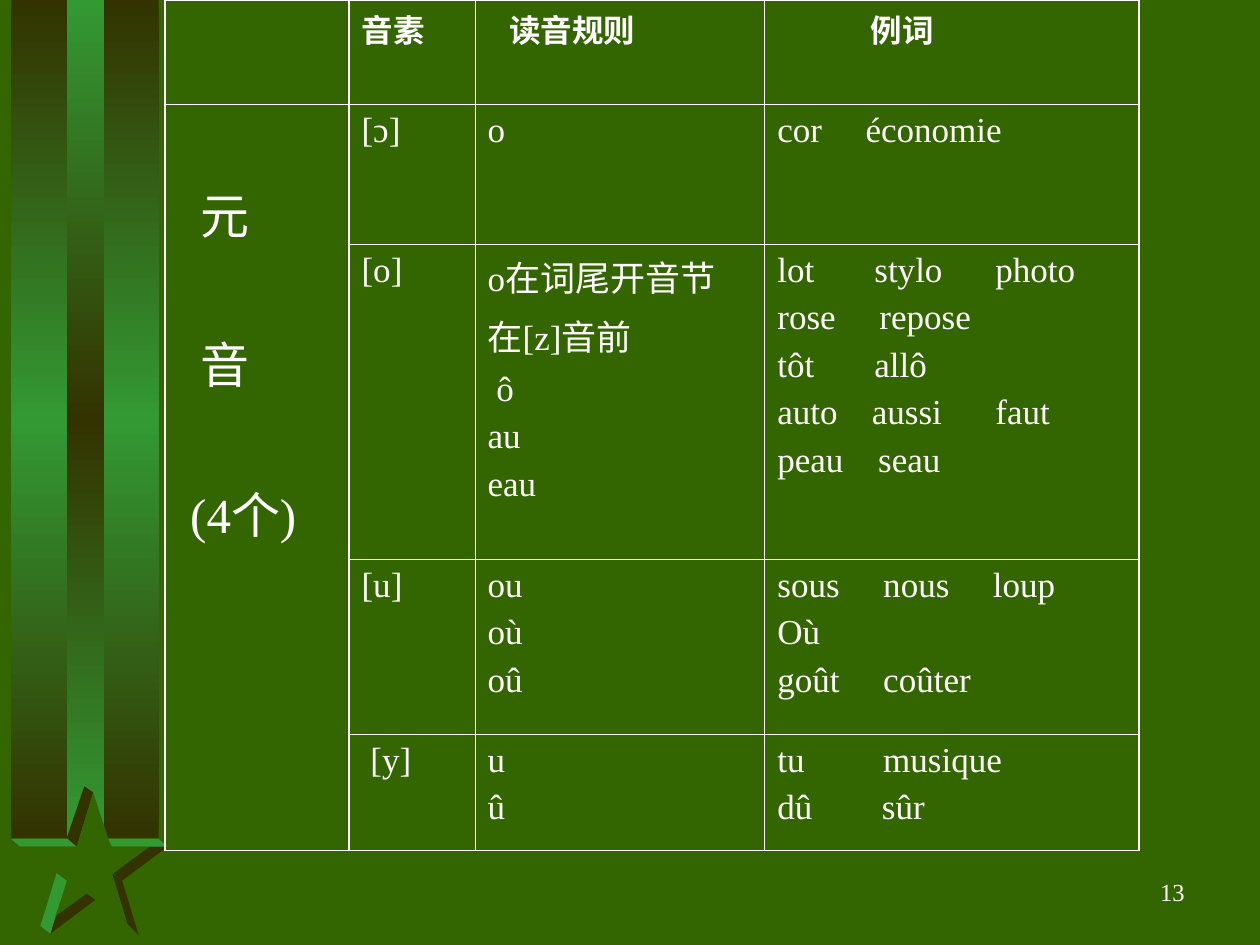
import copy
import pptx
import pptx.util
import pptx.dml.color
import pptx.enum.shapes
import pptx.enum.text
import pptx.oxml.ns
from lxml import etree

GREEN, LIGHT, DARK, WHITE = "336600", "339933", "333300", "FFFFFF"
FONT = "Times New Roman"
Inches, Pt = pptx.util.Inches, pptx.util.Pt
qn = pptx.oxml.ns.qn

bands = [
    ((0.09, 0, 1.17, 6.65), (DARK, LIGHT, DARK)),
    ((0.53, 0, 0.3, 6.65), (LIGHT, DARK, LIGHT)),
]
star_pieces = [
    (DARK, [(0.9, 6.93), (0.97, 6.99), (1.33, 6.72), (1.19, 6.72)]),
    (LIGHT, [(0.09, 6.66), (0.16, 6.72), (0.62, 6.72), (0.54, 6.66)]),
    (DARK, [(0.61, 6.72), (0.74, 6.29), (0.67, 6.24), (0.53, 6.65)]),
    (LIGHT, [(0.89, 6.72), (0.86, 6.66), (1.26, 6.66), (1.33, 6.72)]),
    (DARK, [(0.33, 7.35), (0.4, 7.41), (0.76, 7.14), (0.69, 7.09)]),
    (DARK, [(1.01, 7.33), (1.1, 7.42), (0.97, 6.99), (0.89, 6.93)]),
    (LIGHT, [(0.4, 7.41), (0.53, 6.99), (0.45, 6.93), (0.32, 7.35)]),
    (GREEN, [(0.74, 6.29), (0.61, 6.72), (0.16, 6.72), (0.54, 6.99),
             (0.44, 7.27), (0.69, 7.09), (1.01, 7.33), (0.89, 6.94),
             (1.18, 6.72), (0.88, 6.72)]),
]

column_widths = [1.46, 1.0, 2.3, 2.97]
row_heights = [0.83, 1.11, 2.5, 1.39, 0.92]
header_format = {"size": Pt(18), "bold": True, "name": FONT}
vowel_format = {"size": Pt(28), "bold": False, "name": FONT}
body_format = {"size": Pt(20), "bold": False, "name": FONT}
number_format = {"size": Pt(14), "bold": False, "name": FONT}

phonemes = [
    [[], [("音素", 0, ())], [("读音规则", 0.17, ())], [("例词", 0.74, ())]],
    [[("元", 0.18, ()), ("音", 0.18, ()), ("(4个)", 0.1, ())],
     [("[ɔ]", 0, ())],
     [("o", 0, ())],
     [("cor\téconomie", 0, (0.7,))]],
    [[], [("[o]", 0, ())],
     [("o在词尾开音节", 0, ()), ("在[z]音前", 0, ()), ("ô", 0.07, ()),
      ("au", 0, ()), ("eau", 0, ())],
     [("lot\tstylo\tphoto", 0, (0.77, 1.73)), ("rose\trepose", 0, (0.81,)),
      ("tôt\tallô", 0, (0.77,)), ("auto\taussi\tfaut", 0, (0.75, 1.73)),
      ("peau\tseau", 0, (0.8,))]],
    [[], [("[u]", 0, ())],
     [("ou", 0, ()), ("où", 0, ()), ("oû", 0, ())],
     [("sous\tnous\tloup", 0, (0.84, 1.71)), ("Où", 0, ()),
      ("goût\tcoûter", 0, (0.84,))]],
    [[], [("[y]", 0.07, ())],
     [("u", 0, ()), ("û", 0, ())],
     [("tu\tmusique", 0, (0.84,)), ("dû\tsûr", 0, (0.83,))]],
]


def color(value):
    return pptx.dml.color.RGBColor.from_string(value)


def write_line(paragraph, words, font_format):
    run = paragraph.add_run()
    run.text = words
    for attribute, value in font_format.items():
        setattr(run.font, attribute, value)
    run.font.color.rgb = color(WHITE)


def place_line(paragraph, indent, stops):
    properties = paragraph._p.get_or_add_pPr()
    if indent:
        properties.set("marL", str(Inches(indent)))
        properties.set("indent", "0")
    if stops:
        tab_list = etree.SubElement(properties, qn("a:tabLst"))
        for stop in stops:
            etree.SubElement(tab_list, qn("a:tab"), pos=str(Inches(stop)), algn="l")


def fill_cell(cell, lines, font_format, gap):
    for index, (words, indent, stops) in enumerate(lines):
        frame = cell.text_frame
        paragraph = frame.add_paragraph() if index else frame.paragraphs[0]
        place_line(paragraph, indent, stops)
        if index:
            paragraph.space_before = Pt(gap)
        write_line(paragraph, words, font_format)


def draw_borders(cell, row, column):
    thick = {
        "a:lnL": column <= 1,
        "a:lnR": column in (0, len(column_widths) - 1),
        "a:lnT": row == 0,
        "a:lnB": row == len(row_heights) - 1 or cell.is_merge_origin,
    }
    properties = cell._tc.get_or_add_tcPr()
    for side, is_thick in thick.items():
        width = Pt(1.08 if is_thick else 0.45)
        border = etree.SubElement(properties, qn(side), w=str(width))
        solid = etree.SubElement(border, qn("a:solidFill"))
        etree.SubElement(solid, qn("a:srgbClr"), val=WHITE)


def draw_band(shapes, place, shades):
    band = shapes.add_shape(pptx.enum.shapes.MSO_SHAPE.RECTANGLE, *map(Inches, place))
    band.shadow.inherit = False
    band.line.fill.background()
    band.fill.gradient()
    band.fill.gradient_angle = 270
    stop_list = band._element.spPr.find(".//" + qn("a:gsLst"))
    stop_list.append(copy.deepcopy(stop_list[0]))
    for index, (stop, shade) in enumerate(zip(band.fill.gradient_stops, shades)):
        stop.position = index / 2
        stop.color.rgb = color(shade)


def draw_piece(shapes, shade, corners):
    points = [(Inches(x), Inches(y)) for x, y in corners]
    builder = shapes.build_freeform(*points[0], scale=1.0)
    builder.add_line_segments(points[1:], close=True)
    piece = builder.convert_to_shape()
    piece.shadow.inherit = False
    piece.line.fill.background()
    piece.fill.solid()
    piece.fill.fore_color.rgb = color(shade)


def draw_table(shapes):
    place = (1.31, 0, sum(column_widths), sum(row_heights))
    table = shapes.add_table(len(row_heights), len(column_widths), *map(Inches, place)).table
    table.first_row = table.horz_banding = False
    for column, width in zip(table.columns, column_widths):
        column.width = Inches(width)
    for row, height in zip(table.rows, row_heights):
        row.height = Inches(height)
    table.cell(1, 0).merge(table.cell(len(row_heights) - 1, 0))
    for row, cells in enumerate(phonemes):
        for column, lines in enumerate(cells):
            cell = table.cell(row, column)
            draw_borders(cell, row, column)
            cell.fill.background()
            if row == 0:
                fill_cell(cell, lines, header_format, 0)
            elif column == 0:
                fill_cell(cell, lines, vowel_format, 45)
            else:
                fill_cell(cell, lines, body_format, 5)
    table.cell(1, 0).margin_top = Inches(0.58)


def draw_number(shapes):
    box = shapes.add_textbox(*map(Inches, (7.42, 6.83, 2.08, 0.5)))
    frame = box.text_frame
    frame.word_wrap = True
    frame.vertical_anchor = pptx.enum.text.MSO_ANCHOR.MIDDLE
    frame.paragraphs[0].alignment = pptx.enum.text.PP_ALIGN.RIGHT
    write_line(frame.paragraphs[0], "13", number_format)


def main():
    deck = pptx.Presentation()
    deck.slide_width, deck.slide_height = Inches(10), Inches(7.5)
    slide = deck.slides.add_slide(deck.slide_layouts[6])
    slide.background.fill.solid()
    slide.background.fill.fore_color.rgb = color(GREEN)
    for place, shades in bands:
        draw_band(slide.shapes, place, shades)
    for shade, corners in star_pieces:
        draw_piece(slide.shapes, shade, corners)
    draw_table(slide.shapes)
    draw_number(slide.shapes)
    deck.save("out.pptx")


if __name__ == "__main__":
    main()
